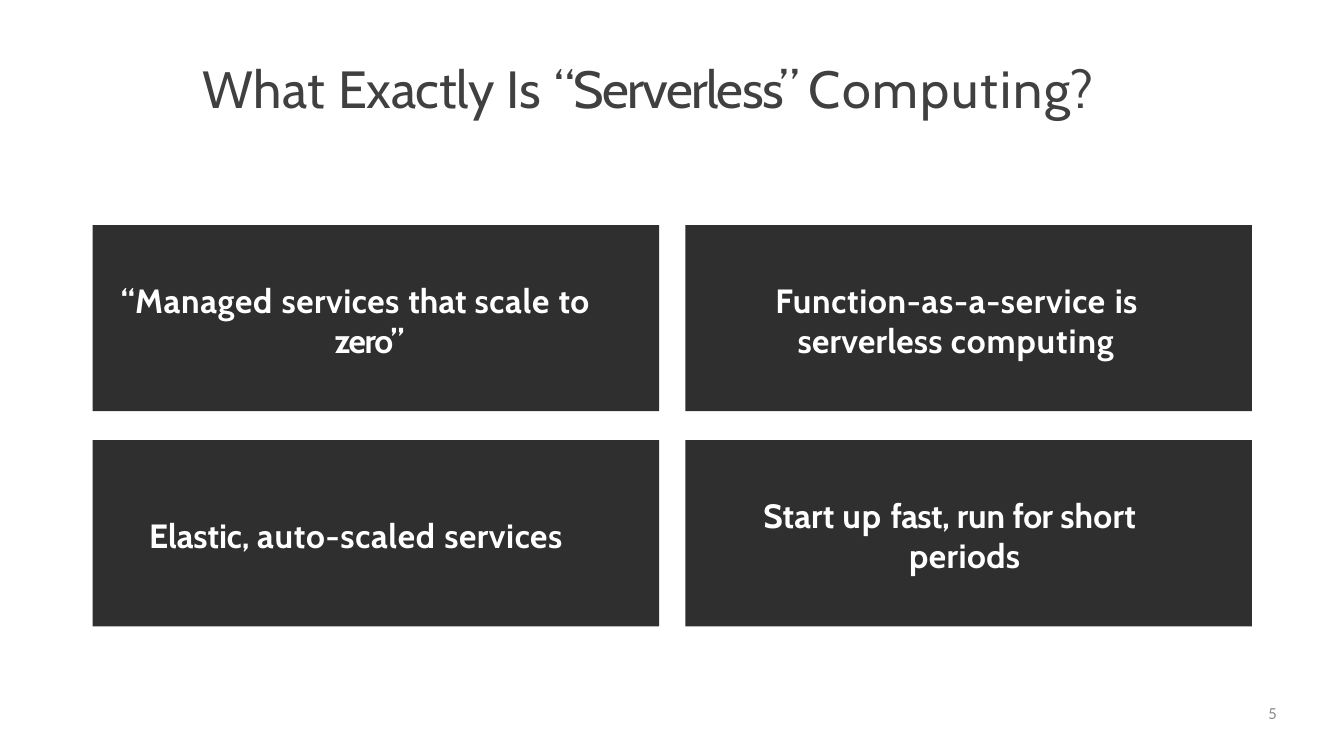
"""Builds a slide with four statements on serverless computing in a two-by-two grid of cards."""
from pptx import Presentation
from pptx.dml.color import RGBColor
from pptx.enum.shapes import MSO_SHAPE
from pptx.enum.text import MSO_ANCHOR, MSO_AUTO_SIZE, PP_ALIGN
from pptx.util import Inches, Pt

RECTANGLE = MSO_SHAPE.RECTANGLE
TOP, MIDDLE = MSO_ANCHOR.TOP, MSO_ANCHOR.MIDDLE
LEFT, RIGHT = PP_ALIGN.LEFT, PP_ALIGN.RIGHT
NO_AUTOFIT = MSO_AUTO_SIZE.NONE

TITLE_GRAY = RGBColor(0x40, 0x40, 0x40)
CARD_GRAY = RGBColor(0x2F, 0x2F, 0x2F)
NUMBER_GRAY = RGBColor(0x8C, 0x8C, 0x8C)
WHITE = RGBColor(0xFF, 0xFF, 0xFF)

GRID_LEFT, GRID_TOP = 1.38, 3.35
CARD_WIDTH, CARD_HEIGHT = 8.43, 2.77
COLUMN_STEP, ROW_STEP = 8.82, 3.2

TITLE = [("What ", 0.6), ("Exactly ", -0.3), ("Is ", 0.8), ("“Serverless” ", -1.8), ("Computing?", 2)]
CARDS = [
    (0, 0, 3.6, -3.18, [("“Managed ", 0.8), ("services ", 0.6), ("that ", 0.1), ("scale ", 0.8),
                        ("to", 0.3), ("\n", 0), ("zero”", -1.6)]),
    (1, 0, 1.67, -0.33, [("Function-as-a-service ", 0.8), ("is", 0.2), ("\n", 0),
                         ("serverless ", 0.3), ("computing", 1)]),
    (0, 1, 0.84, 0, [("Elastic, ", -0.1), ("auto-scaled ", 0.8), ("services", 0.6)]),
    (1, 1, 3.33, -2.17, [("Start ", 0.2), ("up ", 1), ("fast, ", -0.6), ("run ", -0.2), ("for ", -0.5),
                         ("short", 0.3), ("\n", 0), ("periods", 0.5)]),
]


def prepare_frame(shape, anchor, top_inset=0):
    frame = shape.text_frame
    frame.word_wrap = True
    frame.auto_size = NO_AUTOFIT
    frame.vertical_anchor = anchor
    frame.margin_left = frame.margin_right = frame.margin_bottom = 0
    frame.margin_top = Inches(top_inset)
    return frame.paragraphs[0]


def write_spaced(paragraph, pieces, size, color, bold=False):
    paragraph.alignment = LEFT
    font = paragraph.font
    font.name, font.size, font.bold = "Cabin", Pt(size), bold
    font.color.rgb = color
    for text, spacing in pieces:
        if text == "\n":
            paragraph.add_line_break()
            continue
        run = paragraph.add_run()
        run.text = text
        run.font.size = Pt(size)
        run.font._element.set("spc", str(round(spacing * 100)))


presentation = Presentation()
presentation.slide_width, presentation.slide_height = Inches(20), Inches(11.25)
slide = presentation.slides.add_slide(presentation.slide_layouts[5])

title = slide.shapes.title
title.left, title.top, title.width, title.height = map(Inches, (3.01, 0.82, 13.98, 0.96))
title_paragraph = prepare_frame(title, TOP, 0.01)
title_paragraph.space_before = Pt(1.1)
write_spaced(title_paragraph, TITLE, 56, TITLE_GRAY)

for column, row, margin, indent, pieces in CARDS:
    card = slide.shapes.add_shape(
        RECTANGLE,
        Inches(GRID_LEFT + column * COLUMN_STEP), Inches(GRID_TOP + row * ROW_STEP),
        Inches(CARD_WIDTH), Inches(CARD_HEIGHT))
    card.shadow.inherit = False
    card.fill.solid()
    card.fill.fore_color.rgb = CARD_GRAY
    card.line.fill.background()
    paragraph = prepare_frame(card, MIDDLE, 0.05)
    write_spaced(paragraph, pieces, 36, WHITE, bold=True)
    properties = paragraph._p.get_or_add_pPr()
    properties.set("marL", str(Inches(margin)))
    properties.set("indent", str(Inches(indent)))

number_box = slide.shapes.add_textbox(Inches(14.4), Inches(10.46), Inches(4.6), Inches(0.56))
number = prepare_frame(number_box, TOP)
number.text = "5"
number.alignment = RIGHT
number.font.name, number.font.size = "Calibri", Pt(18)
number.font.color.rgb = NUMBER_GRAY

presentation.save("out.pptx")
